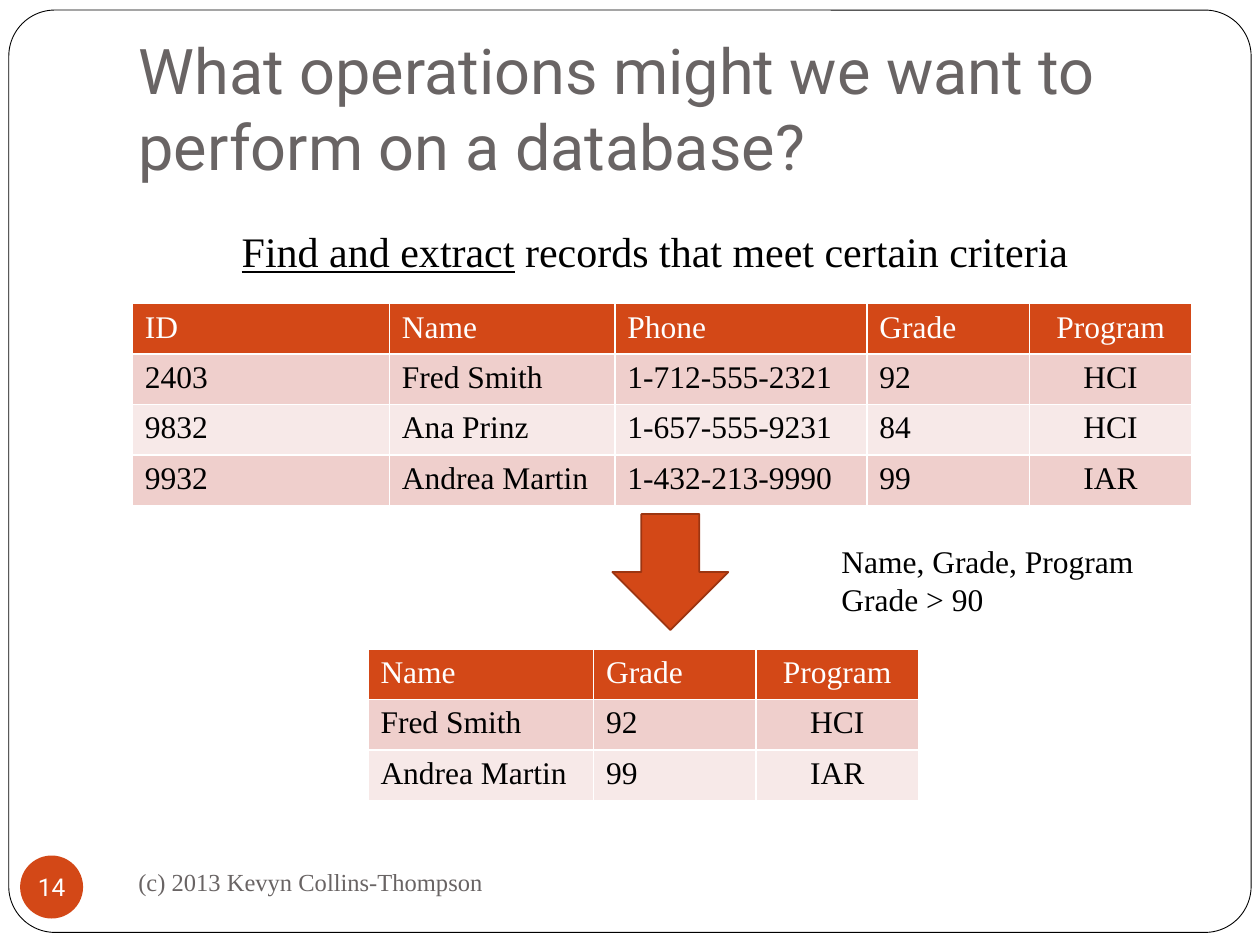
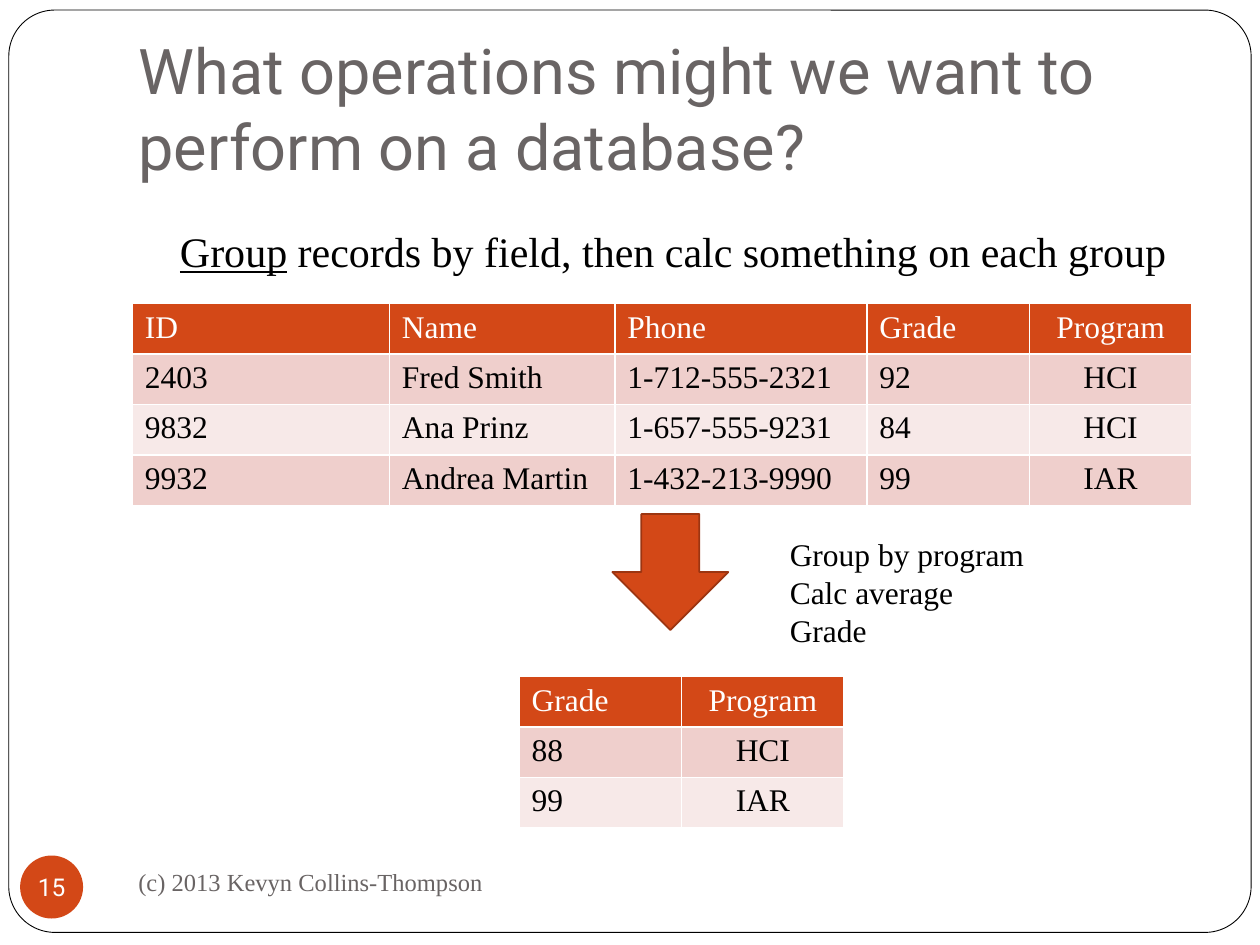
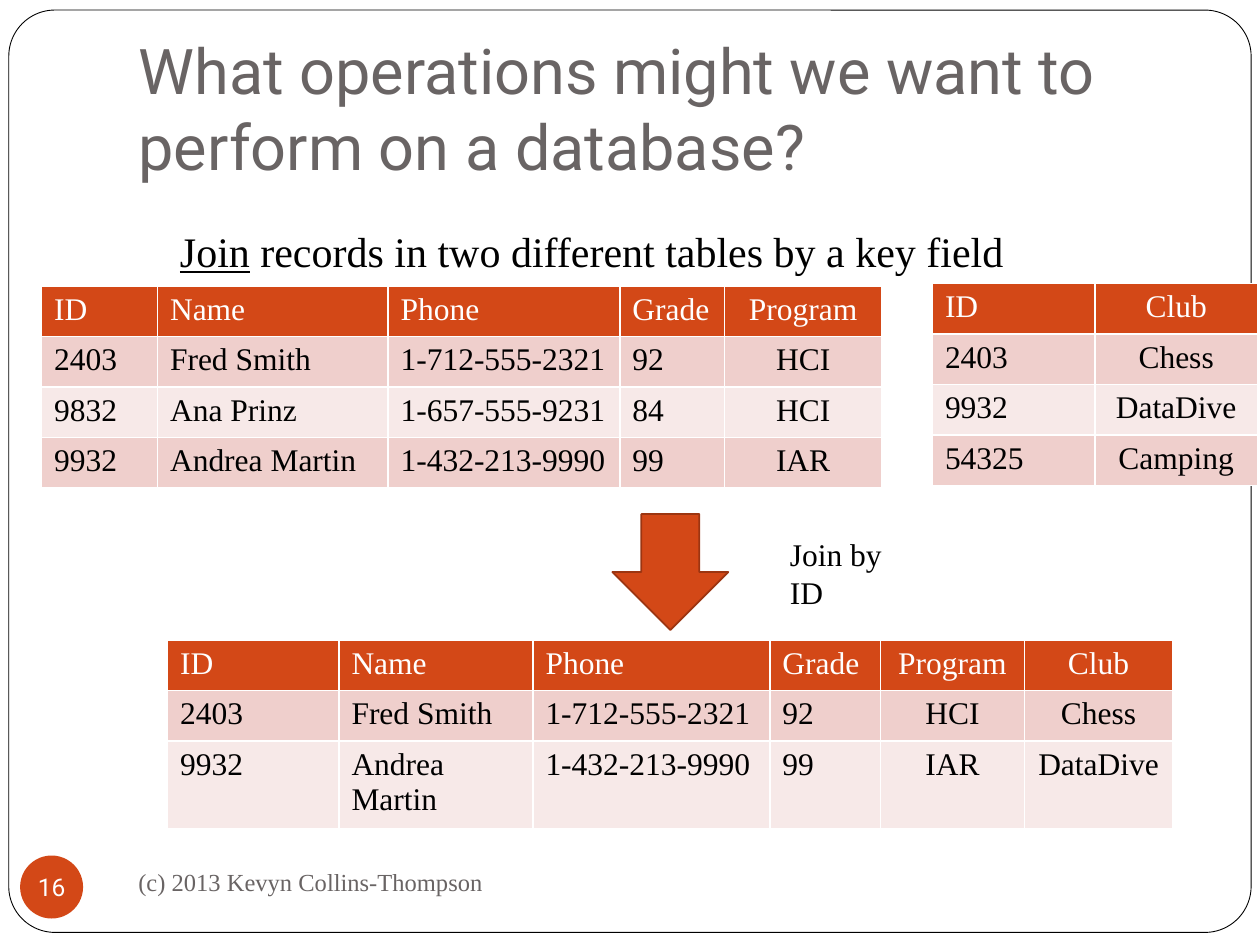
import pptx
import pptx.util
import pptx.dml.color
import pptx.enum.shapes
import pptx.enum.text
import pptx.oxml
import pptx.oxml.ns

Inches = pptx.util.Inches
Pt = pptx.util.Pt
RGB = pptx.dml.color.RGBColor
KIND = pptx.enum.shapes.MSO_SHAPE
ALIGN = pptx.enum.text.PP_ALIGN
ANCHOR = pptx.enum.text.MSO_ANCHOR

WHITE = RGB(0xFF, 0xFF, 0xFF)
BLACK = RGB(0, 0, 0)
GRAY = RGB(0x69, 0x64, 0x64)
RUST = RGB(0xD3, 0x48, 0x17)
BROWN = RGB(0x9C, 0x35, 0x11)
ROSE = RGB(0xEF, 0xCF, 0xCC)
BLUSH = RGB(0xF7, 0xE9, 0xE8)
SANS = "Roboto"
SERIF = "Times New Roman"

TITLE = "What operations might we want to perform on a database?"
CREDIT = "(c) 2013 Kevyn Collins-Thompson"
FIRST = 14
ROW = 0.4
CENTRED = ("Program", "Club")
WIDE = (2.04, 1.79, 2, 1.29, 1.29)
PEOPLE = [
    ("ID", "Name", "Phone", "Grade", "Program"),
    ("2403", "Fred Smith", "1-712-555-2321", "92", "HCI"),
    ("9832", "Ana Prinz", "1-657-555-9231", "84", "HCI"),
    ("9932", "Andrea Martin", "1-432-213-9990", "99", "IAR"),
]
CLUBS = [("ID", "Club"), ("2403", "Chess"), ("9932", "DataDive"),
         ("54325", "Camping")]
MEANS = [("Grade", "Program"), ("88", "HCI"), ("99", "IAR")]


def write(frame, *lines, font=SERIF, size=18, color=BLACK, align=ALIGN.LEFT,
          anchor=ANCHOR.TOP, key=""):
    """Fill a text frame with lines, the first led by an underlined key."""
    frame.word_wrap = True
    frame.vertical_anchor = anchor
    for i, line in enumerate(lines):
        para = frame.paragraphs[0] if i == 0 else frame.add_paragraph()
        para.alignment = align
        parts = [(key, True), (line, False)] if key and i == 0 else [(line, False)]
        for part, under in parts:
            run = para.add_run()
            run.text = part
            run.font.name = font
            run.font.size = Pt(size)
            run.font.color.rgb = color
            run.font.underline = under


def label(slide, x, y, w, h, *lines, **style):
    """Add a text box."""
    box = slide.shapes.add_textbox(Inches(x), Inches(y), Inches(w), Inches(h))
    write(box.text_frame, *lines, **style)


def shape(slide, kind, x, y, w, h, fill, line=None, width=1):
    """Add a flat preset shape."""
    item = slide.shapes.add_shape(kind, Inches(x), Inches(y), Inches(w), Inches(h))
    item.shadow.inherit = False
    item.fill.solid()
    item.fill.fore_color.rgb = fill
    if line is None:
        item.line.fill.background()
    else:
        item.line.color.rgb = line
        item.line.width = Pt(width)
    return item


def edge(cell):
    """Draw thin white borders round a cell."""
    props = cell._tc.get_or_add_tcPr()
    for i, side in enumerate(("lnL", "lnR", "lnT", "lnB")):
        props.insert(i, pptx.oxml.parse_xml(
            f'<a:{side} {pptx.oxml.ns.nsdecls("a")} w="12700"><a:solidFill>'
            f'<a:srgbClr val="{WHITE}"/></a:solidFill></a:{side}>'))


def grid(slide, x, y, cols, rows):
    """Add a table with a rust header and banded rows."""
    table = slide.shapes.add_table(
        len(rows), len(cols), Inches(x), Inches(y),
        Inches(sum(cols)), Inches(ROW * len(rows))).table
    for col, width in zip(table.columns, cols):
        col.width = Inches(width)
    for r, row in enumerate(rows):
        table.rows[r].height = Inches(ROW)
        band = RUST if r == 0 else ROSE if r % 2 else BLUSH
        for c, text in enumerate(row):
            cell = table.cell(r, c)
            cell.fill.solid()
            cell.fill.fore_color.rgb = band
            edge(cell)
            write(cell.text_frame, text, color=BLACK if r else WHITE,
                  align=ALIGN.CENTER if rows[0][c] in CENTRED else ALIGN.LEFT)


def frame(prs, layout):
    """Put the rounded page frame behind everything on the layout."""
    item = shape(prs.slides[0], KIND.ROUNDED_RECTANGLE, 0.07, 0.08, 9.86, 7.32,
                 WHITE, BLACK, 0.5)
    item.adjustments[0] = 0.05
    item.element.nvSpPr.cNvPr.set("id", "20")
    layout.shapes.element.insert(2, item.element)


def page(prs, layout, key, rest, x, width):
    """Start a slide with title, footer, number, caption and arrow."""
    slide = prs.slides.add_slide(layout)
    head = slide.shapes.title
    head.left, head.top = Inches(1), Inches(0.3)
    head.width, head.height = Inches(8.5), Inches(1.25)
    head.text_frame.auto_size = pptx.enum.text.MSO_AUTO_SIZE.NONE
    head.text_frame.margin_bottom = Inches(0.1)
    write(head.text_frame, TITLE, font=SANS, size=36, color=GRAY,
          anchor=ANCHOR.BOTTOM)
    label(slide, 1, 6.75, 4.33, 0.5, CREDIT, size=14, color=GRAY,
          anchor=ANCHOR.MIDDLE)
    badge = shape(slide, KIND.OVAL, 0.16, 6.79, 0.5, 0.5, RUST).text_frame
    badge.margin_left = badge.margin_right = 0
    badge.margin_top = badge.margin_bottom = 0
    write(badge, str(FIRST + len(prs.slides) - 1), font=SANS, size=14,
          color=WHITE, align=ALIGN.CENTER, anchor=ANCHOR.MIDDLE)
    label(slide, x, 1.74, width, 0.5, rest, size=24, key=key)
    shape(slide, KIND.DOWN_ARROW, 4.86, 4.08, 0.92, 0.92, RUST, BROWN)
    return slide


def main():
    """Build the three slides."""
    prs = pptx.Presentation()
    prs.slide_width, prs.slide_height = Inches(10), Inches(7.5)
    layout = prs.slide_layouts[5]
    best = [PEOPLE[0]] + [row for row in PEOPLE[1:] if int(row[3]) > 90]

    find = page(prs, layout, "Find and extract",
                " records that meet certain criteria", 1.82, 6.99)
    frame(prs, layout)
    grid(find, 1.05, 2.41, WIDE, PEOPLE)
    label(find, 6.58, 4.25, 2.61, 0.71, "Name, Grade, Program", "Grade > 90")
    grid(find, 2.92, 5.15, (1.79, 1.29, 1.29),
         [(row[1], row[3], row[4]) for row in best])

    group = page(prs, layout, "Group",
                 " records by field, then calc something on each group",
                 1.33, 8.17)
    grid(group, 1.05, 2.41, WIDE, PEOPLE)
    label(group, 6.17, 4.2, 2.1, 1, "Group by program", "Calc average Grade")
    grid(group, 4.12, 5.37, (1.29, 1.29), MEANS)

    join = page(prs, layout, "Join",
                " records in two different tables by a key field", 1.33, 6.96)
    grid(join, 0.33, 2.27, (0.92, 1.83, 1.84, 0.83, 1.25), PEOPLE)
    label(join, 6.17, 4.2, 1.15, 0.71, "Join by ID")
    grid(join, 7.4, 2.25, (1.29, 1.29), CLUBS)
    clubs = dict(CLUBS)
    grid(join, 1.33, 5.08, (1.36, 1.54, 1.88, 0.88, 1.14, 1.18),
         [row + (clubs[row[0]],) for row in PEOPLE if row[0] in clubs])

    prs.save("out.pptx")


if __name__ == "__main__":
    main()
